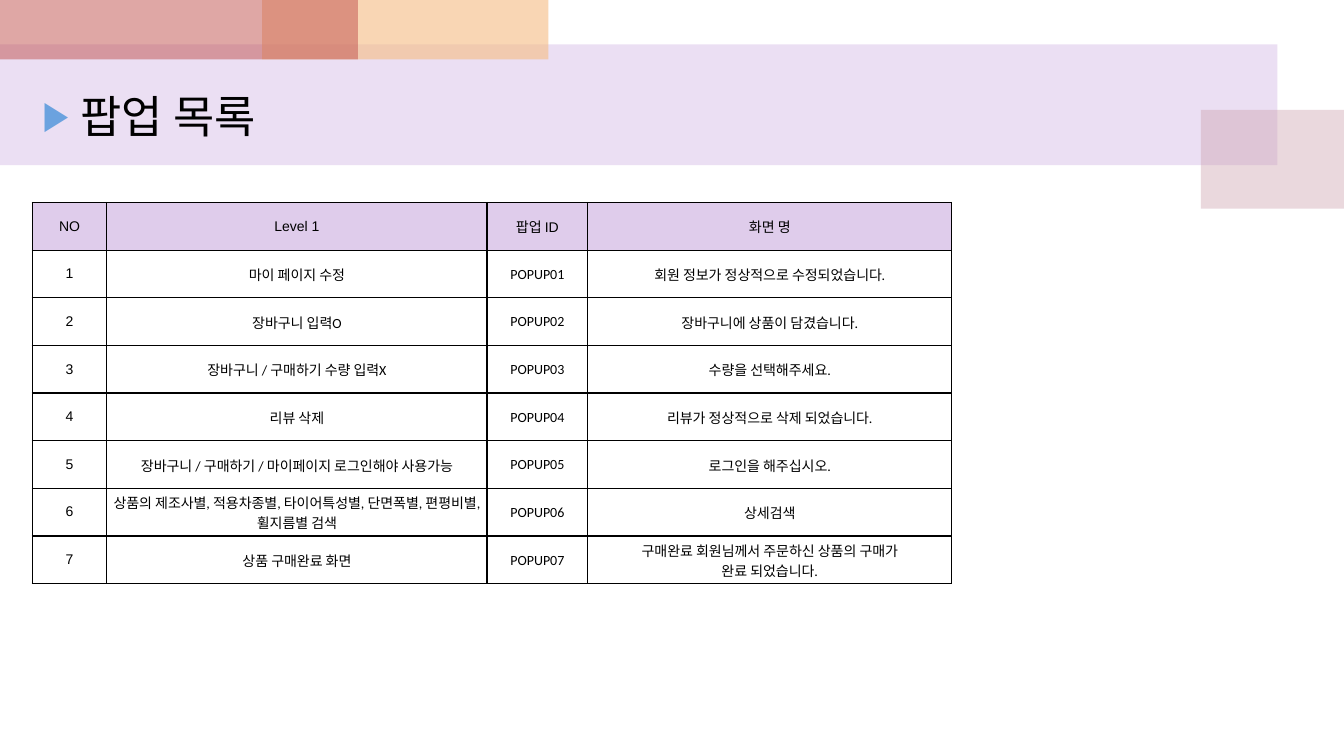
from lxml.etree import SubElement
from pptx import Presentation
from pptx.dml.color import RGBColor
from pptx.enum.shapes import MSO_SHAPE
from pptx.enum.text import MSO_ANCHOR, MSO_AUTO_SIZE, PP_ALIGN
from pptx.oxml.ns import qn
from pptx.util import Inches, Pt

COLORS = {"text": "000000", "border": "000000", "header": "DFCCEB", "bullet": "6BA2DF",
          "lilac": "BF98D8", "rose": "CC9EAC", "peach": "F5BC83", "red": "C0504D"}

# left, top, width, height, colour, opacity in percent
PANELS = [(0, 0.44, 12.67, 1.2, "lilac", 30),
          (11.91, 1.09, 1.43, 0.98, "rose", 40),
          (2.6, 0, 2.84, 0.59, "peach", 60),
          (0, 0, 3.55, 0.59, "red", 50)]

HEADERS = ["NO", "Level 1", "팝업 ID", "화면 명"]
POPUPS = [("마이 페이지 수정", "회원 정보가 정상적으로 수정되었습니다."),
          ("장바구니 입력O", "장바구니에 상품이 담겼습니다."),
          ("장바구니 / 구매하기 수량 입력X", "수량을 선택해주세요."),
          ("리뷰 삭제", "리뷰가 정상적으로 삭제 되었습니다."),
          ("장바구니 / 구매하기 / 마이페이지 로그인해야 사용가능", "로그인을 해주십시오."),
          ("상품의 제조사별, 적용차종별, 타이어특성별, 단면폭별, 편평비별, 휠지름별 검색", "상세검색"),
          ("상품 구매완료 화면", "구매완료 회원님께서 주문하신 상품의 구매가\n완료 되었습니다.")]
COLUMN_WIDTHS = [0.74, 3.77, 1, 3.61]


def rgb(name):
    return RGBColor.from_string(COLORS[name])


def write_text(tf, text, size=10, font="Calibri", color="text", align=PP_ALIGN.CENTER):
    """Fill a text frame, one paragraph per line of text."""
    for i, line in enumerate(text.split("\n")):
        p = tf.paragraphs[0] if i == 0 else tf.add_paragraph()
        p.alignment = align
        r = p.add_run()
        r.text = line
        r.font.size = Pt(size)
        r.font.name = font
        r.font.color.rgb = rgb(color)


class SlideBuilder:
    def __init__(self, prs):
        self.slide = prs.slides.add_slide(prs.slide_layouts[5])

    def panel(self, left, top, width, height, color, opacity):
        sp = self.slide.shapes.add_shape(MSO_SHAPE.RECTANGLE, Inches(left), Inches(top),
                                         Inches(width), Inches(height))
        sp.shadow.inherit = False
        sp.fill.solid()
        sp.fill.fore_color.rgb = rgb(color)
        sp.line.fill.background()
        clr = sp.fill._xPr.find(".//" + qn("a:srgbClr"))
        SubElement(clr, qn("a:alpha"), val=str(opacity * 1000))

    def title(self, text, left, top, width, height):
        sp = self.slide.shapes.title
        sp.left, sp.top, sp.width, sp.height = map(Inches, (left, top, width, height))
        self.slide.shapes._spTree.append(sp._element)  # in front of the panels
        tf = sp.text_frame
        tf.word_wrap = True
        tf.auto_size = MSO_AUTO_SIZE.NONE
        tf.vertical_anchor = MSO_ANCHOR.TOP
        write_text(tf, text, size=32, align=PP_ALIGN.LEFT)
        self.bullet(tf.paragraphs[0])

    def bullet(self, p):
        pPr = p._p.get_or_add_pPr()
        pPr.set("marL", str(Inches(0.38)))
        pPr.set("indent", str(-Inches(0.38)))
        clr = SubElement(pPr, qn("a:buClr"))
        SubElement(clr, qn("a:srgbClr"), val=COLORS["bullet"])
        SubElement(pPr, qn("a:buSzPct"), val="90000")
        SubElement(pPr, qn("a:buFont"), typeface="Arial")
        SubElement(pPr, qn("a:buChar"), char="▶")

    def table(self, rows, left, top, height, widths):
        frame = self.slide.shapes.add_table(len(rows), len(widths), Inches(left), Inches(top),
                                            Inches(sum(widths)), Inches(height))
        table = frame.table
        for column, width in zip(table.columns, widths):
            column.width = Inches(width)
        for i, row in enumerate(rows):
            for j, text in enumerate(row):
                self.cell(table.cell(i, j), text, header=i == 0, number=j == 0)

    def cell(self, cell, text, header, number):
        cell.vertical_anchor = MSO_ANCHOR.MIDDLE
        cell.margin_left = cell.margin_right = Inches(0.04 if header or number else 0.01)
        cell.margin_top = Inches(0 if number else 0.01)
        cell.margin_bottom = Inches(0)
        write_text(cell.text_frame, text, font="Arial" if header or number else "Calibri")
        tcPr = cell._tc.get_or_add_tcPr()
        for side in ("a:lnL", "a:lnR", "a:lnT", "a:lnB"):
            ln = SubElement(tcPr, qn(side), w=str(Pt(1)))
            fill = SubElement(ln, qn("a:solidFill"))
            SubElement(fill, qn("a:srgbClr"), val=COLORS["border"])
        if header:
            cell.fill.solid()
            cell.fill.fore_color.rgb = rgb("header")
        else:
            cell.fill.background()


def main():
    prs = Presentation()
    prs.slide_width, prs.slide_height = Inches(13.33), Inches(7.5)
    builder = SlideBuilder(prs)
    for panel in PANELS:
        builder.panel(*panel)
    builder.title("팝업 목록", 0.32, 0.83, 6.77, 0.32)
    rows = [HEADERS] + [(str(n), level, f"POPUP{n:02}", message)
                        for n, (level, message) in enumerate(POPUPS, 1)]
    builder.table(rows, 0.32, 2.01, 3.78, COLUMN_WIDTHS)
    prs.save("out.pptx")


if __name__ == "__main__":
    main()
